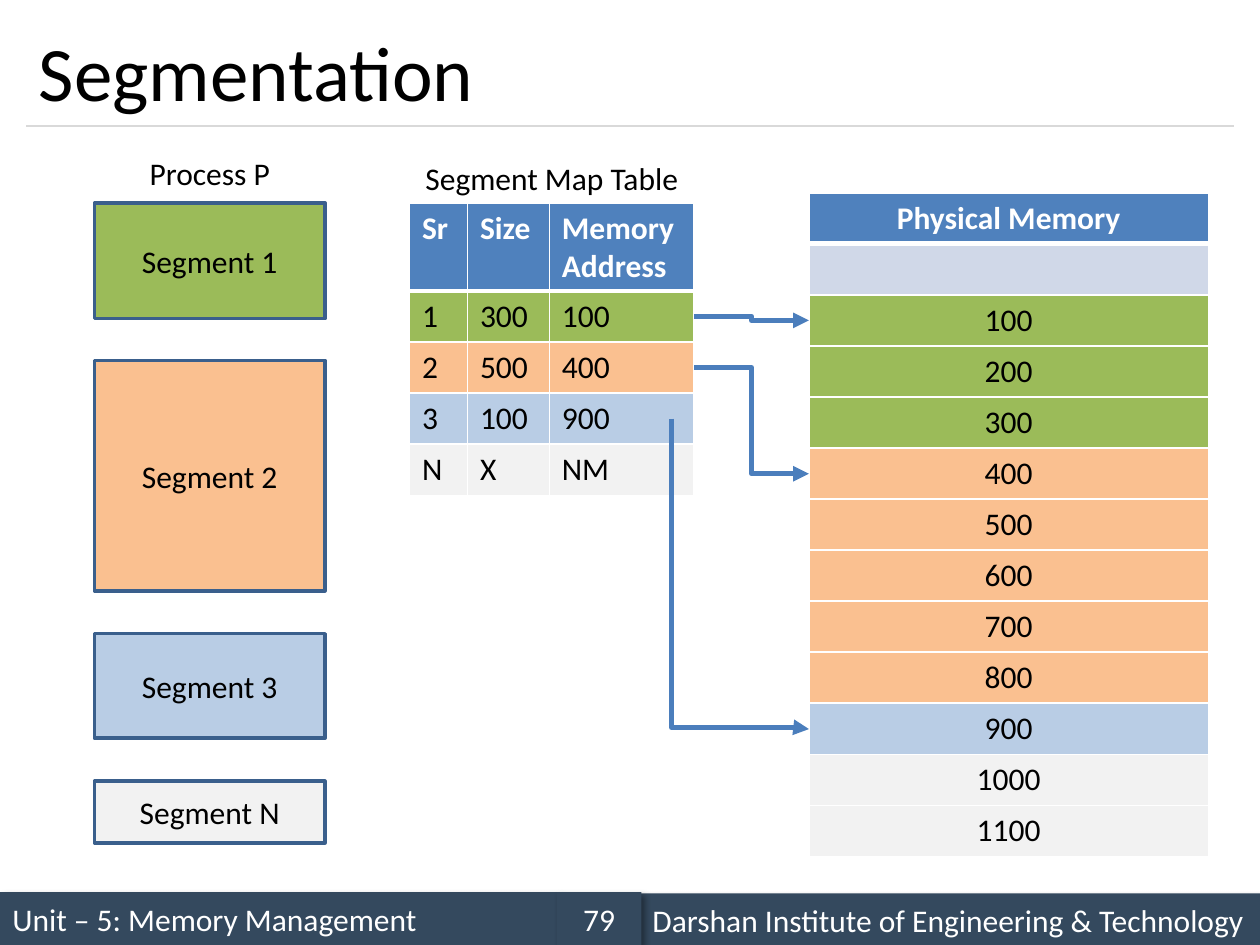
from lxml import etree
from pptx import Presentation
from pptx import util as u
from pptx.dml.color import RGBColor
from pptx.enum import shapes, text
from pptx.oxml import parse_xml
from pptx.oxml.ns import nsdecls, qn

THEME = {
    "font": "Calibri", "title": 44, "body": 18,
    "black": "000000", "white": "FFFFFF", "bar": "34495E", "rule": "D9D9D9",
    "header": "4F81BD", "free": "D0D8E8", "outline": "3A5F8C", "arrow": "4B7EBC",
    "seg1": "9BBB59", "seg2": "FAC090", "seg3": "B9CDE5", "segN": "F2F2F2",
}
LEFT, CENTER = text.PP_ALIGN.LEFT, text.PP_ALIGN.CENTER

# Content
TITLE = "Segmentation"
FOOTER = [  # text, left, top, width, alignment
    ("Unit – 5: Memory Management", 0, 7.08, 4.42, LEFT),
    ("Darshan Institute of Engineering & Technology", 5.08, 7.09, 4.92, LEFT),
    ("79", 4.42, 7.08, 0.67, CENTER),
]
LABELS = [("Process P", 1, 1.17, 1.33), ("Segment Map Table", 3.25, 1.21, 2.26)]
SEGMENTS = [  # text, colour, top, height
    ("Segment 1", "seg1", 1.61, 0.92),
    ("Segment 2", "seg2", 2.86, 1.83),
    ("Segment 3", "seg3", 5.03, 0.83),
    ("Segment N", "segN", 6.2, 0.49),
]
MAP_ROWS = [
    ("header", ["Sr", "Size", "Memory\nAddress"]),
    ("seg1", ["1", "300", "100"]),
    ("seg2", ["2", "500", "400"]),
    ("seg3", ["3", "100", "900"]),
    ("segN", ["N", "X", "NM"]),
]
MEMORY_COLOURS = ["seg1"] * 3 + ["seg2"] * 5 + ["seg3"] + ["segN"] * 2
MEMORY_ROWS = [("header", ["Physical Memory"]), ("free", [""])] + [
    (colour, [str(100 * i)]) for i, colour in enumerate(MEMORY_COLOURS, 1)]

ROW = 5.27 / len(MEMORY_ROWS)
MAP_LEFT, MAP_TOP, MAP_COLS, MAP_HEADER = 3.25, 1.61, [0.46, 0.65, 1.15], 0.7
MEMORY_LEFT, MEMORY_TOP, MEMORY_WIDTH = 6.42, 1.53, 3.17


def rgb(name):
    return RGBColor.from_string(THEME[name])


def write(frame, content, align=LEFT, colour="black", size="body", bold=False):
    frame.word_wrap = True
    frame.text = content
    for para in frame.paragraphs:
        para.alignment = align
        font = para.font
        font.name, font.size, font.bold = THEME["font"], u.Pt(THEME[size]), bold
        font.color.rgb = rgb(colour)


def add_box(page, place, fill, line=None):
    box = page.shapes.add_shape(shapes.MSO_SHAPE.RECTANGLE, *map(u.Inches, place))
    box.shadow.inherit = False
    box.fill.solid()
    box.fill.fore_color.rgb = rgb(fill)
    if line:
        box.line.color.rgb, box.line.width = rgb(line), u.Pt(2)
    else:
        box.line.fill.background()
    box.text_frame.vertical_anchor = text.MSO_ANCHOR.MIDDLE
    return box


def add_label(page, content, place, **style):
    box = page.shapes.add_textbox(*map(u.Inches, place))
    write(box.text_frame, content, **style)
    return box


def add_shadow(box):
    effects = box._element.spPr.find(qn("a:effectLst"))
    effects.append(parse_xml(
        f'<a:outerShdw {nsdecls("a")} blurRad="50800" dist="38100" dir="2700000">'
        '<a:srgbClr val="000000"><a:alpha val="40000"/></a:srgbClr></a:outerShdw>'))


def set_borders(cell, top, bottom):
    props = cell._tc.get_or_add_tcPr()
    widths = [("L", 1), ("R", 1), ("T", top), ("B", bottom)]
    for i, (side, points) in enumerate(widths):
        props.insert(i, parse_xml(
            f'<a:ln{side} {nsdecls("a")} w="{u.Pt(points)}"><a:solidFill>'
            f'<a:srgbClr val="{THEME["white"]}"/></a:solidFill></a:ln{side}>'))


def add_grid(page, rows, left, top, widths, heights, align):
    place = (left, top, sum(widths), sum(heights))
    table = page.shapes.add_table(len(rows), len(widths), *map(u.Inches, place)).table
    table.horz_banding = False
    for column, width in zip(table.columns, widths):
        column.width = u.Inches(width)
    for r, (colour, values) in enumerate(rows):
        table.rows[r].height = u.Inches(heights[r])
        for c, value in enumerate(values):
            cell = table.cell(r, c)
            cell.fill.solid()
            cell.fill.fore_color.rgb = rgb(colour)
            set_borders(cell, 3 if r == 1 else 1, 3 if r == 0 else 1)
            write(cell.text_frame, value, align, "black" if r else "white", bold=r == 0)


def add_line(page, kind, start, end, colour, points):
    line = page.shapes.add_connector(kind, *map(u.Inches, (*start, *end)))
    line.line.color.rgb, line.line.width = rgb(colour), u.Pt(points)
    etree.SubElement(line._element.spPr, qn("a:effectLst"))
    return line


def add_arrow(page, start, end):
    arrow = add_line(page, shapes.MSO_CONNECTOR.ELBOW, start, end, "arrow", 3)
    etree.SubElement(arrow.line._get_or_add_ln(), qn("a:tailEnd"), type="triangle")
    return arrow


def add_down_arrow(page, start, end):
    """Elbow that drops first, then runs right: a mirrored, quarter-turned elbow."""
    (x1, y1), (x2, y2) = start, end
    mid_x, mid_y = (x1 + x2) / 2, (y1 + y2) / 2
    half_w, half_h = (y2 - y1) / 2, (x2 - x1) / 2
    arrow = add_arrow(page, (mid_x + half_w, mid_y - half_h),
                      (mid_x - half_w, mid_y + half_h))
    props = arrow._element.spPr
    props.find(qn("a:xfrm")).set("rot", str(270 * 60000))
    shape = props.find(qn("a:prstGeom"))
    guides = shape.find(qn("a:avLst"))
    if guides is None:
        guides = etree.SubElement(shape, qn("a:avLst"))
    etree.SubElement(guides, qn("a:gd"), name="adj1", fmla="val 99500")


def main():
    deck = Presentation()
    deck.slide_width, deck.slide_height = u.Inches(10), u.Inches(7.5)
    page = deck.slides.add_slide(deck.slide_layouts[6])

    # Footer bars, title and rule
    for content, left, top, width, align in FOOTER:
        bar = add_box(page, (left, top, width, 0.42), "bar")
        add_shadow(bar)
        write(bar.text_frame, content, align, "white")
    add_line(page, shapes.MSO_CONNECTOR.STRAIGHT, (0.21, 1), (9.79, 1), "rule", 0.75)
    title = add_label(page, TITLE, (0.21, 0.12, 9.58, 0.88), size="title")
    title.text_frame.vertical_anchor = text.MSO_ANCHOR.MIDDLE

    # Process segments and labels
    for content, colour, top, height in SEGMENTS:
        box = add_box(page, (0.75, top, 1.83, height), colour, "outline")
        write(box.text_frame, content, CENTER)
    for content, left, top, width in LABELS:
        add_label(page, content, (left, top, width, 0.4), align=CENTER)

    # Segment map and physical memory
    add_grid(page, MAP_ROWS, MAP_LEFT, MAP_TOP, MAP_COLS,
             [MAP_HEADER] + [ROW] * (len(MAP_ROWS) - 1), LEFT)
    add_grid(page, MEMORY_ROWS, MEMORY_LEFT, MEMORY_TOP, [MEMORY_WIDTH],
             [ROW] * len(MEMORY_ROWS), CENTER)

    # Arrows from each map entry to its first memory row
    map_right = MAP_LEFT + sum(MAP_COLS)
    for entry, row, inset, draw in [(0, 2, 0, add_arrow), (1, 5, 0, add_arrow),
                                    (2, 10, 0.18, add_down_arrow)]:
        start = (map_right - inset, MAP_TOP + MAP_HEADER + (entry + 0.5) * ROW)
        draw(page, start, (MEMORY_LEFT, MEMORY_TOP + (row + 0.5) * ROW))

    deck.save("out.pptx")


if __name__ == "__main__":
    main()
